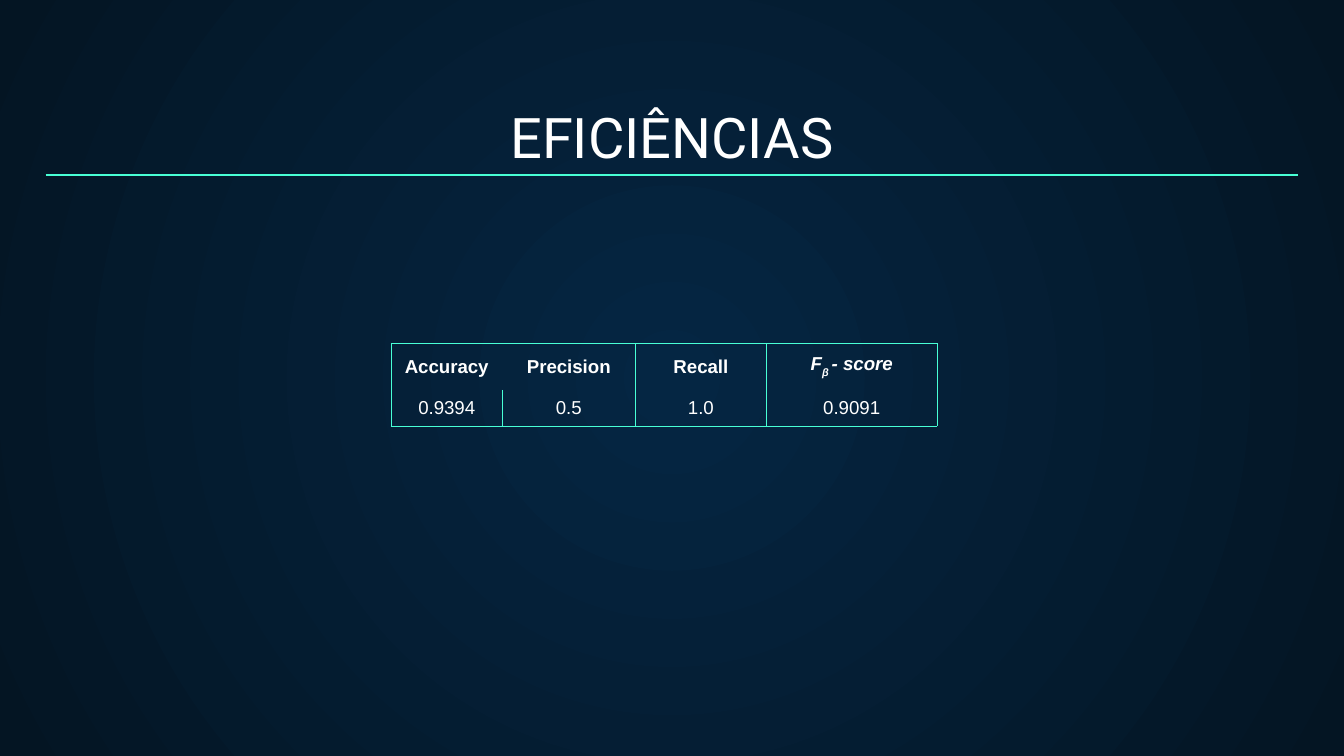
"""Build the slide with the efficiency scores of the classifier."""
from dataclasses import dataclass

from lxml import etree
from pptx import Presentation
from pptx.dml.color import RGBColor
from pptx.enum.shapes import MSO_CONNECTOR
from pptx.enum.text import MSO_ANCHOR, PP_ALIGN
from pptx.oxml.ns import qn
from pptx.util import Pt

STRAIGHT = MSO_CONNECTOR.STRAIGHT
CENTER = PP_ALIGN.CENTER
MIDDLE = MSO_ANCHOR.MIDDLE
BOTTOM = MSO_ANCHOR.BOTTOM


@dataclass(frozen=True)
class Theme:
    """Colours, fonts, type sizes and line widths."""

    glow: str = "052643"
    edge: str = "041523"
    text: str = "FFFFFF"
    accent: str = "48FFD5"
    title_font: str = "Roboto"
    body_font: str = "Arial"
    title_size: float = 30
    body_size: float = 10
    rule_width: float = 0.75
    border_width: float = 0.06


def apply_format(target, values):
    """Set every attribute named in a dict of format values."""
    for name, value in values.items():
        setattr(target, name, value)


class SlideBuilder:
    """Draw elements on one slide in the given theme."""

    def __init__(self, slide, theme):
        """Keep the slide and the theme."""
        self.slide = slide
        self.theme = theme

    def background(self):
        """Fill the slide with a gradient that spreads from its centre."""
        fill = self.slide.background.fill
        fill.gradient()
        for stop, color in zip(fill.gradient_stops, (self.theme.glow, self.theme.edge)):
            stop.color.rgb = RGBColor.from_string(color)
        linear = next(self.slide.element.iter(qn("a:lin")))
        radial = etree.Element(qn("a:path"), {"path": "circle"})
        etree.SubElement(radial, qn("a:fillToRect"), {side: "50000" for side in "ltrb"})
        linear.getparent().replace(linear, radial)

    def add_runs(self, paragraph, runs, font, size, bold=False):
        """Add centred runs, each a text with its italic flag and baseline."""
        paragraph.alignment = CENTER
        for text, italic, baseline in runs:
            run = paragraph.add_run()
            run.text = text
            apply_format(run.font, {"name": font, "size": Pt(size), "bold": bold, "italic": italic})
            run.font.color.rgb = RGBColor.from_string(self.theme.text)
            if baseline:
                run.font._element.set("baseline", str(baseline * 1000))

    def title(self, text, left, top, width, height):
        """Add the slide title."""
        shape = self.slide.shapes.add_textbox(Pt(left), Pt(top), Pt(width), Pt(height))
        frame = shape.text_frame
        margins = {f"margin_{side}": Pt(7.2) for side in ("left", "top", "right", "bottom")}
        apply_format(frame, {"word_wrap": True, "vertical_anchor": BOTTOM, **margins})
        self.add_runs(frame.paragraphs[0], [(text, False, 0)], self.theme.title_font, self.theme.title_size)

    def rule(self, left, top, width):
        """Add a horizontal line."""
        line = self.slide.shapes.add_connector(STRAIGHT, Pt(left), Pt(top), Pt(left + width), Pt(top))
        line.line.width = Pt(self.theme.rule_width)
        line.line.color.rgb = RGBColor.from_string(self.theme.accent)
        etree.SubElement(line._element.spPr, qn("a:effectLst"))

    def borders(self, cell, sides):
        """Draw the named sides of a cell and clear the others."""
        properties = cell._tc.get_or_add_tcPr()
        for index, side in enumerate("LRTB"):
            width = str(int(Pt(self.theme.border_width)))
            line = etree.Element(qn(f"a:ln{side}"), w=width)
            if side in sides:
                fill = etree.SubElement(line, qn("a:solidFill"))
                etree.SubElement(fill, qn("a:srgbClr"), val=self.theme.accent)
            else:
                etree.SubElement(line, qn("a:noFill"))
            properties.insert(index, line)

    def table(self, rows, borders, left, top, widths, heights):
        """Add a table with a bold header row and no cell fill."""
        frame = self.slide.shapes.add_table(
            len(rows), len(widths), Pt(left), Pt(top), Pt(sum(widths)), Pt(sum(heights))
        )
        table = frame.table
        apply_format(table, {"first_row": False, "horz_banding": False})
        for column, width in zip(table.columns, widths):
            column.width = Pt(width)
        for row, height in zip(table.rows, heights):
            row.height = Pt(height)
        for row_index, row in enumerate(rows):
            for column_index, runs in enumerate(row):
                cell = table.cell(row_index, column_index)
                cell.vertical_anchor = MIDDLE
                cell.fill.background()
                self.borders(cell, borders[row_index][column_index])
                self.add_runs(
                    cell.text_frame.paragraphs[0], runs, self.theme.body_font,
                    self.theme.body_size, bold=row_index == 0,
                )


def main():
    """Build and save the presentation."""
    presentation = Presentation()
    apply_format(presentation, {"slide_width": Pt(720), "slide_height": Pt(405)})
    slide = presentation.slides.add_slide(presentation.slide_layouts[6])
    builder = SlideBuilder(slide, Theme())
    builder.background()
    builder.title("EFICIÊNCIAS", 24.5, 50.4, 671, 47.5)
    builder.rule(24.5, 93.8, 671)

    header = [[(name, False, 0)] for name in ("Accuracy", "Precision", "Recall")]
    header.append([("F", True, 0), ("β ", True, -33), ("- score", True, 0)])
    scores = [[(score, False, 0)] for score in ("0.9394", "0.5", "1.0", "0.9091")]
    builder.table(
        [header, scores],
        [["LT", "RT", "LRT", "LRT"], ["LRB"] * 4],
        left=209.5, top=183.9, widths=[59.6, 71.2, 70.4, 91.2], heights=[25, 18.7],
    )
    presentation.save("out.pptx")


if __name__ == "__main__":
    main()
